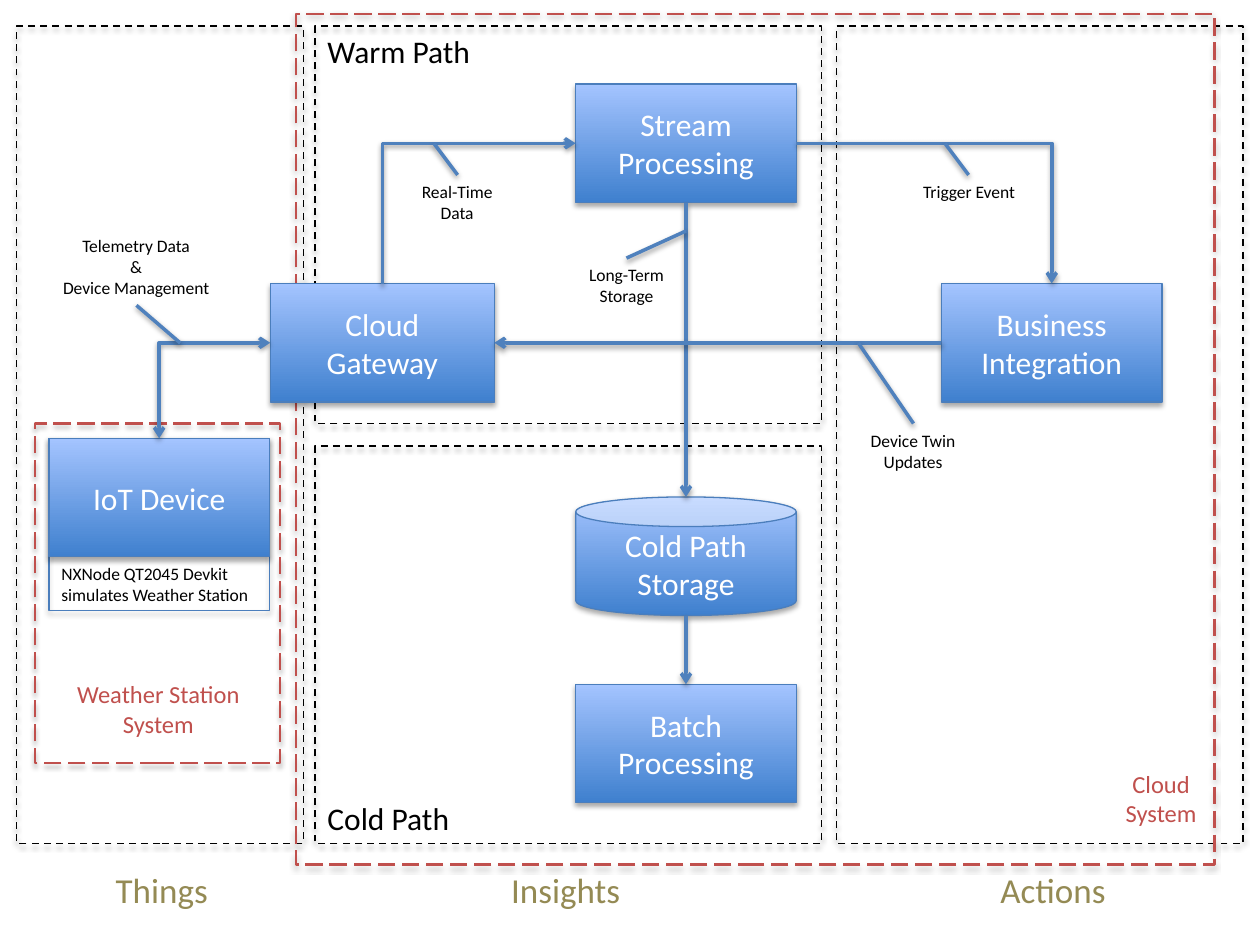
from dataclasses import dataclass

import lxml.etree
import pptx
import pptx.dml.color
import pptx.enum.dml
import pptx.enum.shapes
import pptx.enum.text
import pptx.oxml.ns
import pptx.util

Pt = pptx.util.Pt
qn = pptx.oxml.ns.qn
SHAPE = pptx.enum.shapes.MSO_SHAPE
CONNECTOR = pptx.enum.shapes.MSO_CONNECTOR
DASH = pptx.enum.dml.MSO_LINE
ALIGN = pptx.enum.text.PP_ALIGN
ANCHOR = pptx.enum.text.MSO_ANCHOR


@dataclass(frozen=True)
class Theme:
    font: str = "Calibri"
    black: str = "000000"
    white: str = "FFFFFF"
    red: str = "C0504D"
    olive: str = "948A54"
    connector: str = "4F81BD"
    node_line: str = "4B7EBC"
    node_bottom: str = "3F80CE"
    node_top: str = "A4C4FF"
    note_size: float = 10
    system_size: float = 14
    title_size: float = 18
    stage_size: float = 20


THEME = Theme()
NODE_WIDTH, NODE_HEIGHT = 126, 67.75
RECT_SITES = {"top": 0, "left": 1, "bottom": 2, "right": 3}
CAN_SITES = {"top": 1, "left": 2, "bottom": 3, "right": 4}


def rgb(color):
    return pptx.dml.color.RGBColor.from_string(color)


def add_shadow(shape, alpha, distance):
    effects = lxml.etree.SubElement(shape._element.spPr, qn("a:effectLst"))
    shadow = lxml.etree.SubElement(
        effects, qn("a:outerShdw"), blurRad=str(Pt(3.1)), dist=str(Pt(distance)),
        dir="5400000", rotWithShape="0")
    color = lxml.etree.SubElement(shadow, qn("a:srgbClr"), val=THEME.black)
    lxml.etree.SubElement(color, qn("a:alpha"), val=str(alpha * 1000))


def set_line(shape, color, width, dash=None):
    shape.line.color.rgb = rgb(color)
    shape.line.width = Pt(width)
    if dash is not None:
        shape.line.dash_style = dash


def set_text(text_frame, text, size, color, align):
    text_frame.text = text
    for paragraph in text_frame.paragraphs:
        paragraph.alignment = align
        for run in paragraph.runs:
            run.font.name = THEME.font
            run.font.size = Pt(size)
            run.font.color.rgb = rgb(color)


def add_frame(slide, box, color, width, dash=None):
    frame = slide.shapes.add_shape(SHAPE.RECTANGLE, *map(Pt, box))
    frame.fill.background()
    set_line(frame, color, width, dash)
    add_shadow(frame, 35, 1.8)


def add_node(slide, left, top, text, kind=SHAPE.RECTANGLE, width=NODE_WIDTH):
    node = slide.shapes.add_shape(kind, Pt(left), Pt(top), Pt(width), Pt(NODE_HEIGHT))
    node.fill.gradient()
    node.fill.gradient_angle = 90
    for stop, color in zip(node.fill.gradient_stops, (THEME.node_bottom, THEME.node_top)):
        stop.color.rgb = rgb(color)
    set_line(node, THEME.node_line, 0.75)
    add_shadow(node, 35, 1.8)
    node.text_frame.vertical_anchor = ANCHOR.MIDDLE
    set_text(node.text_frame, text, THEME.title_size, THEME.white, ALIGN.CENTER)
    return node


def add_label(slide, box, text, size, color, align=ALIGN.LEFT, wrap=False,
              anchor=ANCHOR.TOP):
    label = slide.shapes.add_textbox(*map(Pt, box))
    label.text_frame.word_wrap = wrap
    label.text_frame.auto_size = pptx.enum.text.MSO_AUTO_SIZE.SHAPE_TO_FIT_TEXT
    label.text_frame.vertical_anchor = anchor
    set_text(label.text_frame, text, size, color, align)


def style_connector(connector, arrows=()):
    set_line(connector, THEME.connector, 2)
    line = connector.line._get_or_add_ln()
    for end in arrows:
        lxml.etree.SubElement(line, qn(f"a:{end}"), type="arrow")
    add_shadow(connector, 38, 1.6)


def add_leader(slide, start, end):
    points = map(Pt, (*start, *end))
    style_connector(slide.shapes.add_connector(CONNECTOR.STRAIGHT, *points))


def side_point(node, side):
    x = {"left": node.left, "right": node.left + node.width}
    y = {"top": node.top, "bottom": node.top + node.height}
    return (x.get(side, node.left + node.width // 2),
            y.get(side, node.top + node.height // 2))


def site_index(node, side):
    sites = CAN_SITES if node.auto_shape_type == SHAPE.CAN else RECT_SITES
    return sites[side]


def add_flow(slide, source, source_side, target, target_side, arrows=("tailEnd",),
             bent=False):
    start, end = side_point(source, source_side), side_point(target, target_side)
    kind = CONNECTOR.ELBOW if bent else CONNECTOR.STRAIGHT
    flow = slide.shapes.add_connector(kind, *start, *end)
    flow.begin_connect(source, site_index(source, source_side))
    flow.end_connect(target, site_index(target, target_side))
    flow.begin_x, flow.begin_y = start
    flow.end_x, flow.end_y = end
    if bent:
        flow._element.spPr.find(qn("a:prstGeom")).set("prst", "bentConnector2")
    style_connector(flow, arrows)


def add_frames(slide):
    for box in ((9.5, 15, 164, 467), (180, 255, 289.5, 227),
                (478, 15, 232.5, 467), (180, 15, 289.5, 227)):
        add_frame(slide, box, THEME.black, 1, DASH.DASH)
    for box in ((169, 8, 525, 486), (20, 242, 140, 194)):
        add_frame(slide, box, THEME.red, 1.25, DASH.LONG_DASH)
    add_frame(slide, (28, 250.5, NODE_WIDTH, 98.5), THEME.node_line, 0.75)


def add_architecture(slide):
    device = add_node(slide, 28, 250.5, "IoT Device")
    stream = add_node(slide, 329, 48, "Stream Processing")
    business = add_node(slide, 538, 162, "Business\nIntegration")
    storage = add_node(slide, 329, 284, "Cold Path Storage", SHAPE.CAN)
    batch = add_node(slide, 329, 391, "Batch Processing")
    gateway = add_node(slide, 154.5, 162, "Cloud\nGateway", width=128)

    add_flow(slide, gateway, "left", device, "top", ("headEnd", "tailEnd"), bent=True)
    add_flow(slide, stream, "left", gateway, "top", ("headEnd",), bent=True)
    add_flow(slide, stream, "right", business, "top", bent=True)
    add_flow(slide, stream, "bottom", storage, "top")
    add_flow(slide, storage, "bottom", batch, "top")
    add_flow(slide, business, "left", gateway, "right")


def add_labels(slide):
    for box, text in (((180, 453, 85, 29), "Cold Path"), ((180, 15, 97, 29), "Warm Path")):
        add_label(slide, box, text, THEME.title_size, THEME.black)
    for left, width, text in ((59, 68, "Things"), (285, 77, "Insights"),
                              (564.5, 76, "Actions")):
        add_label(slide, (left, 493, width, 31.5), text, THEME.stage_size, THEME.olive)
    for box, text in (((636, 435.5, 55, 41), "Cloud\nSystem"),
                      ((36.5, 384.5, 108, 41), "Weather Station\nSystem")):
        add_label(slide, box, text, THEME.system_size, THEME.red, ALIGN.CENTER,
                  anchor=ANCHOR.MIDDLE)
    add_label(slide, (28, 318, NODE_WIDTH, 31.5),
              "NXNode QT2045 Devkit simulates Weather Station",
              THEME.note_size, THEME.black, wrap=True)


def add_notes_with_leaders(slide):
    notes = (
        ((28, 131, 99.5, 44), "Telemetry Data\n&\nDevice Management", (78, 174.5), (103, 196)),
        ((233.5, 100, 55.5, 31.5), "Real-Time\nData", (261.5, 100), (248, 82)),
        ((490, 242, 63.5, 31.5), "Device Twin\nUpdates", (522, 242), (490.5, 196)),
        ((520, 100, 67.5, 19.5), "Trigger Event", (553.5, 100), (540, 82)),
        ((329, 147.5, 58, 31.5), "Long-Term\nStorage", (358, 147.5), (392, 132)),
    )
    for box, text, start, end in notes:
        add_label(slide, box, text, THEME.note_size, THEME.black, ALIGN.CENTER)
        add_leader(slide, start, end)


def main():
    presentation = pptx.Presentation()
    presentation.slide_width, presentation.slide_height = Pt(720), Pt(540)
    slide = presentation.slides.add_slide(presentation.slide_layouts[6])
    add_frames(slide)
    add_architecture(slide)
    add_labels(slide)
    add_notes_with_leaders(slide)
    presentation.save("out.pptx")


if __name__ == "__main__":
    main()
